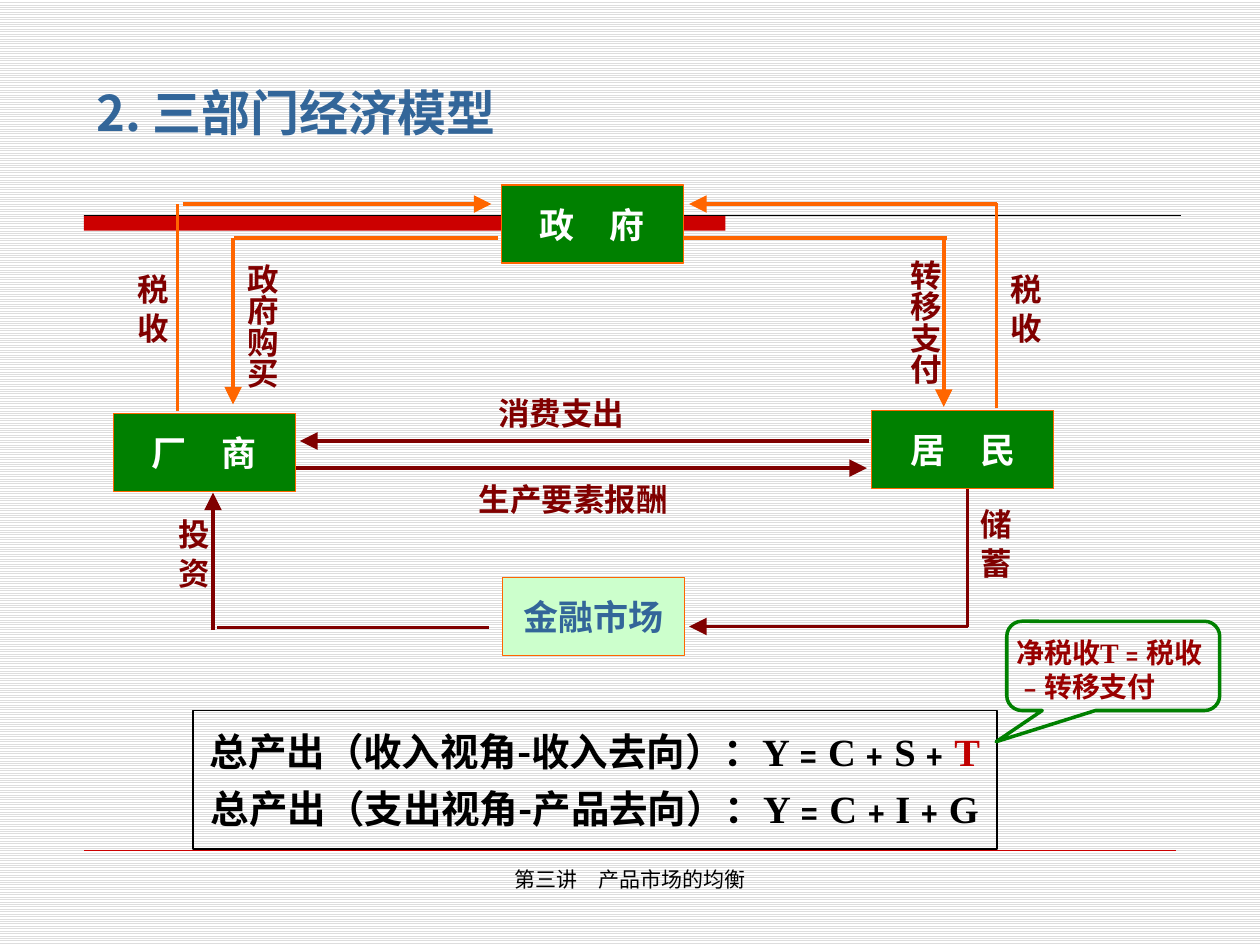
from typing import NamedTuple

from lxml import etree
from pptx import Presentation
from pptx.dml.color import RGBColor
from pptx.enum import dml, shapes, text
from pptx.oxml import ns
from pptx.util import Pt

BLACK = RGBColor(0x00, 0x00, 0x00)
WHITE = RGBColor(0xFF, 0xFF, 0xFF)
HATCH = RGBColor(0xDD, 0xDD, 0xDD)
RED = RGBColor(0xCC, 0x00, 0x00)
CRIMSON = RGBColor(0xC0, 0x00, 0x00)
WINE = RGBColor(0x99, 0x00, 0x00)
MAROON = RGBColor(0x80, 0x00, 0x00)
ORANGE = RGBColor(0xFF, 0x66, 0x00)
GREEN = RGBColor(0x00, 0x80, 0x00)
MINT = RGBColor(0xCC, 0xFF, 0xCC)
BLUE = RGBColor(0x33, 0x66, 0x99)
HAN, ROMAN, SANS = "Noto Sans CJK SC", "Times New Roman", "DejaVu Sans"
BOX_W, BOX_H = 104, 44.6
MID = text.MSO_ANCHOR.MIDDLE
LEFT, CENTER = text.PP_ALIGN.LEFT, text.PP_ALIGN.CENTER


class Sector(NamedTuple):
    name: str
    x: float
    y: float
    fill: RGBColor = GREEN
    ink: RGBColor = WHITE


class Flow(NamedTuple):
    x1: float
    y1: float
    x2: float
    y2: float
    color: RGBColor
    arrow: bool = False


class Label(NamedTuple):
    words: str
    x: float
    y: float
    w: float
    h: float
    upright: bool = True


class Span(NamedTuple):
    words: str
    face: str
    color: RGBColor


SECTORS = [
    Sector("居　民", 498.2, 234.7),
    Sector("厂　商", 64.8, 236.2),
    Sector("政　府", 286.4, 105.8),
    Sector("金融市场", 287.2, 329.8, MINT, BLUE),
]
FLOWS = [
    # taxes
    Flow(101.5, 234.7, 101.5, 116.6, ORANGE),
    Flow(104.4, 116.6, 280.8, 116.6, ORANGE, True),
    Flow(569.5, 233.3, 569.5, 116, ORANGE),
    Flow(569.5, 116.6, 393.8, 116.6, ORANGE, True),
    # purchases and transfers
    Flow(284.4, 136, 134, 136, ORANGE),
    Flow(133.2, 136, 133.2, 231.1, ORANGE, True),
    Flow(391, 136, 541.4, 136, ORANGE),
    Flow(539.3, 136.8, 539.3, 232.5, ORANGE, True),
    # spending and factor income
    Flow(496.8, 252, 171.4, 252, MAROON, True),
    Flow(169.2, 267.5, 495.4, 267.5, MAROON, True),
    # saving and investment
    Flow(553, 279.4, 553, 358.5, MAROON),
    Flow(553, 358, 393.8, 358, MAROON, True),
    Flow(279.4, 358.6, 123.8, 358.6, MAROON),
    Flow(121.7, 360, 121.7, 281.5, MAROON, True),
]
LABELS = [
    Label("税 收", 76.3, 156.2, 21.6, 44.6),
    Label("税 收", 575.3, 156.2, 21.6, 44.6),
    Label("政府购买", 139, 150.5, 21.6, 78.5),
    Label("转移支付", 517.7, 148.3, 21.6, 78.5),
    Label("储 蓄", 558, 290.9, 21.6, 44.6),
    Label("投 资", 99.4, 296.6, 21.6, 44.6),
    Label("消费支出", 255.3, 224.6, 131, 25.9, False),
    Label("生产要素报酬", 257.8, 273.6, 139.7, 23, False),
]


def style(font, size: float, face: str, color: RGBColor, bold: bool = True) -> None:
    font.size, font.bold, font.name = Pt(size), bold, face
    font.color.rgb = color
    east = etree.Element(ns.qn("a:ea"), typeface=SANS if face == SANS else HAN)
    font._element.find(ns.qn("a:latin")).addnext(east)


def frame(shape, pad_x: float, pad_y: float, anchor=text.MSO_ANCHOR.TOP):
    body = shape.text_frame
    body.word_wrap = True
    body.vertical_anchor = anchor
    body.margin_left = body.margin_right = Pt(pad_x)
    body.margin_top = body.margin_bottom = Pt(pad_y)
    return body


def write(para, words: str, size: float, face: str, color: RGBColor,
          align=CENTER, bold: bool = True) -> None:
    para.text, para.alignment = words, align
    style(para.font, size, face, color, bold)


def write_spans(para, size: float, align, spans: list[Span]) -> None:
    para.alignment = align
    for span in spans:
        run = para.add_run()
        run.text = span.words
        style(run.font, size, span.face, span.color)


def add_form(slide, kind, x: float, y: float, w: float, h: float,
             fill: RGBColor | None, line: RGBColor | None, width: float = 0.75):
    form = slide.shapes.add_shape(kind, Pt(x), Pt(y), Pt(w), Pt(h))
    form.shadow.inherit = False
    if fill is None:
        form.fill.background()
    else:
        form.fill.solid()
        form.fill.fore_color.rgb = fill
    if line is None:
        form.line.fill.background()
    else:
        form.line.color.rgb = line
        form.line.width = Pt(width)
    return form


def add_flow(slide, flow: Flow, width: float = 2) -> None:
    ends = [Pt(v) for v in flow[:4]]
    link = slide.shapes.add_connector(shapes.MSO_CONNECTOR.STRAIGHT, *ends)
    link.line.color.rgb = flow.color
    link.line.width = Pt(width)
    if flow.arrow:
        etree.SubElement(link.line._get_or_add_ln(), ns.qn("a:tailEnd"),
                         type="triangle", w="lg", len="lg")
    etree.SubElement(link._element.spPr, ns.qn("a:effectLst"))


def add_sector(slide, sector: Sector) -> None:
    box = add_form(slide, shapes.MSO_SHAPE.RECTANGLE, sector.x, sector.y,
                   BOX_W, BOX_H, sector.fill, ORANGE)
    body = frame(box, 1.5, 0.7, MID)
    write(body.paragraphs[0], sector.name, 20, ROMAN, sector.ink)


def add_label(slide, label: Label) -> None:
    box = slide.shapes.add_textbox(*[Pt(v) for v in label[1:5]])
    pad = (0, 0) if label.upright else (1.5, 0.7)
    body = frame(box, *pad)
    if label.upright:
        body._txBody.bodyPr.set("vert", "eaVert")
    write(body.paragraphs[0], label.words, 18, HAN, MAROON,
          LEFT if label.upright else CENTER)


def add_title(slide) -> None:
    title = slide.shapes.title
    title.left, title.top, title.width, title.height = Pt(48), Pt(49), Pt(323), Pt(34)
    para = frame(title, 7.2, 3.6, MID).paragraphs[0]
    para.line_spacing = 0.9
    write(para, "2. 三部门经济模型", 28, HAN, BLUE, LEFT)


def add_sums(slide) -> None:
    """Add the two output equations in their frame."""
    box = add_form(slide, shapes.MSO_SHAPE.RECTANGLE, 110.2, 406, 459.4, 79.2, None, BLACK, 1)
    body = frame(box, 7.2, 3.6, MID)
    body.word_wrap = False
    write_spans(body.paragraphs[0], 22, CENTER, [
        Span("总产出（收入视角-收入去向）：", HAN, BLACK),
        Span("Y﹦C﹢S﹢", ROMAN, BLACK), Span("T", ROMAN, CRIMSON)])
    second = body.add_paragraph()
    second.space_before = Pt(6)
    write_spans(second, 22, CENTER, [
        Span("总产出（支出视角-产品去向）：", HAN, BLACK), Span("Y﹦C﹢I﹢G", ROMAN, BLACK)])


def add_note(slide) -> None:
    note = add_form(slide, shapes.MSO_SHAPE.ROUNDED_RECTANGULAR_CALLOUT,
                    575.3, 355, 121.7, 51, None, GREEN, 2)
    for i, value in enumerate((-0.55, 0.85, 0.17)):
        note.adjustments[i] = value
    write_spans(frame(note, 2.9, 5.8).paragraphs[0], 16, LEFT, [
        Span("净税收", HAN, WINE), Span("T", ROMAN, WINE), Span("﹦税收﹣转移支付", HAN, WINE)])


def main() -> None:
    deck = Presentation()
    deck.slide_width, deck.slide_height = Pt(720), Pt(540)
    slide = deck.slides.add_slide(deck.slide_layouts[5])
    back = slide.background.fill
    back.patterned()
    back.pattern = dml.MSO_PATTERN.LIGHT_HORIZONTAL
    back.fore_color.rgb, back.back_color.rgb = HATCH, WHITE

    add_form(slide, shapes.MSO_SHAPE.RECTANGLE, 48, 123, 366.5, 8.8, RED, None)
    add_flow(slide, Flow(48, 123, 674.6, 123, BLACK), 0.5)
    add_flow(slide, Flow(48, 486, 672, 486, RED), 0.25)
    add_title(slide)
    add_sums(slide)
    for sector in SECTORS:
        add_sector(slide, sector)
    for flow in FLOWS:
        add_flow(slide, flow)
    for label in LABELS:
        add_label(slide, label)
    add_note(slide)
    foot = slide.shapes.add_textbox(Pt(246.2), Pt(491.8), Pt(228.2), Pt(37.4))
    write(frame(foot, 7.2, 3.6).paragraphs[0], "第三讲　产品市场的均衡", 12, SANS, BLACK, bold=False)
    deck.save("out.pptx")


if __name__ == "__main__":
    main()
